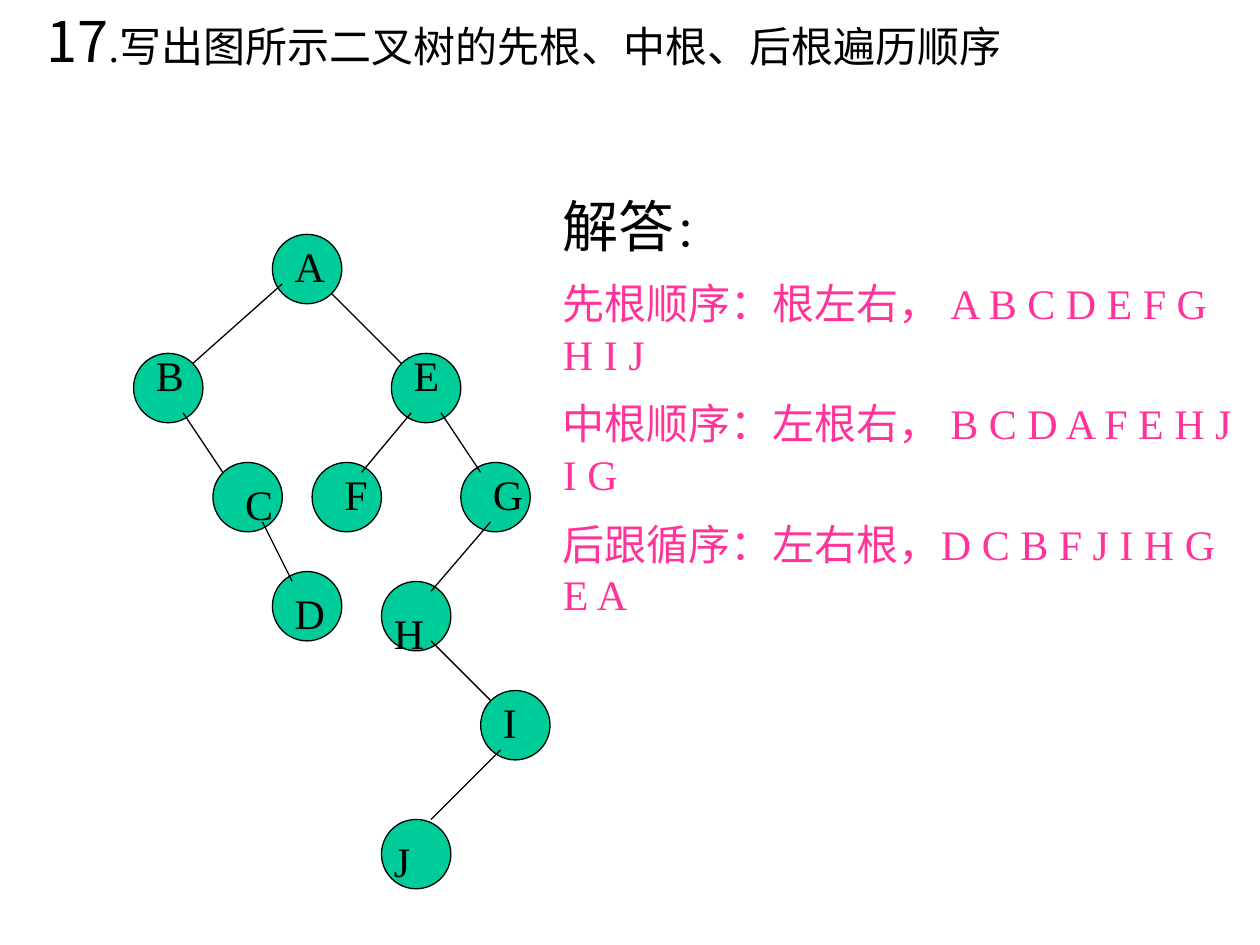
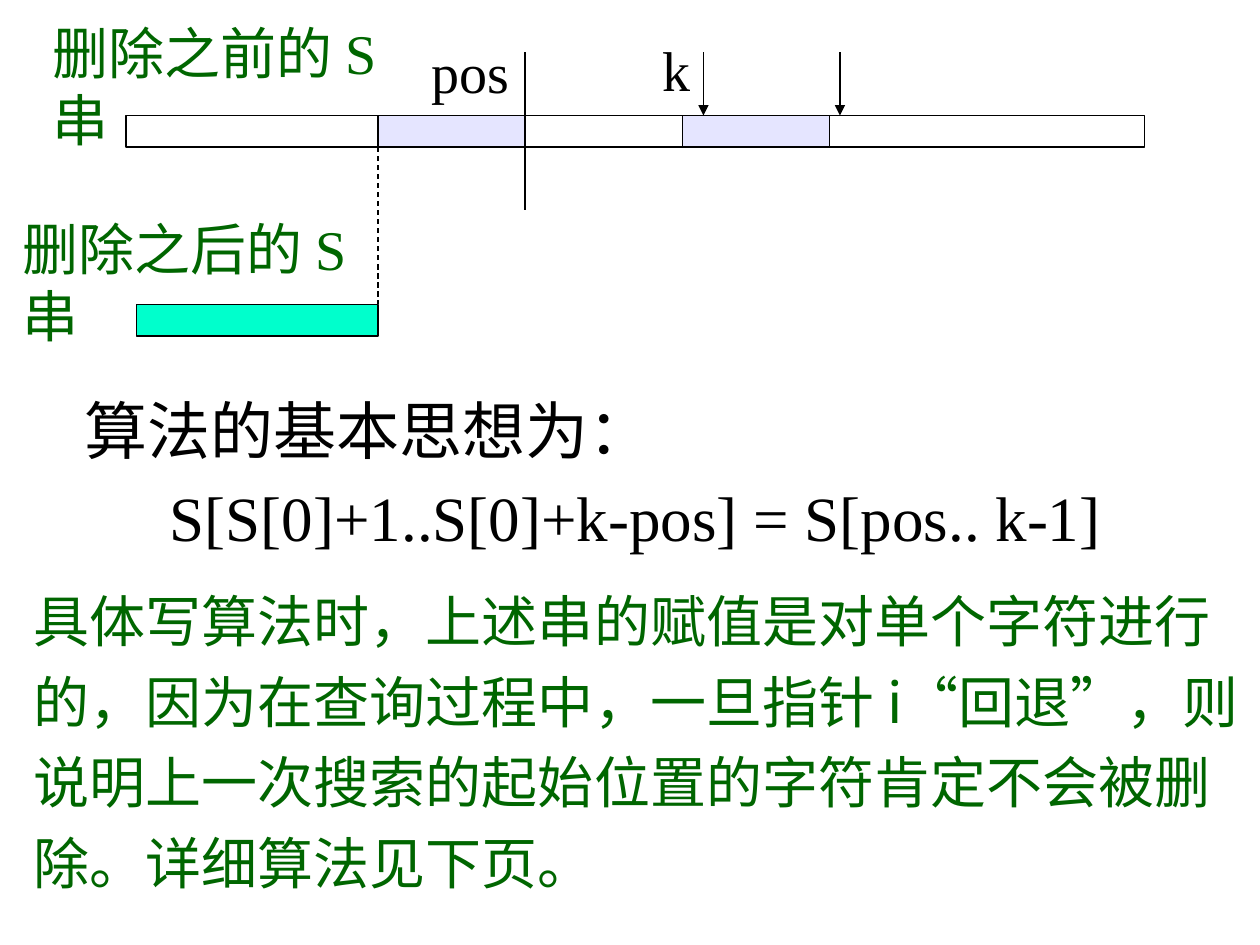
from dataclasses import dataclass

from lxml.etree import SubElement
from pptx import Presentation
from pptx.dml.color import RGBColor
from pptx.enum.dml import MSO_LINE
from pptx.enum.shapes import MSO_CONNECTOR as Connector, MSO_SHAPE as Shape
from pptx.enum.text import MSO_ANCHOR as Anchor, MSO_AUTO_SIZE as AutoSize, PP_ALIGN as Align
from pptx.oxml.ns import qn
from pptx.util import Inches, Pt

WIDTH, HEIGHT = Inches(10), Inches(7.5)
LATIN, CJK = "Times New Roman", "Noto Sans CJK SC"
COLORS = {
    "ink": "000000",
    "node": "00CC99",
    "answer": "FF3399",
    "deleted": "CCCCFF",
    "kept": "00FFCC",
    "note": "006600",
}


@dataclass
class Grid:
    left: float
    top: float
    cell: float

    def at(self, col, row):
        return Inches(self.left + col * self.cell), Inches(self.top + row * self.cell)

    def span(self, cols, rows):
        return Inches(cols * self.cell), Inches(rows * self.cell)

    def box(self, col, row, cols, rows):
        return *self.at(col, row), *self.span(cols, rows)


TREE = Grid(1.06, 1.86, 0.0787)
BARS = Grid(0, 0, 1 / 12)

NODES = {
    "A": (14, 0), "B": (0, 12), "E": (26, 12), "F": (18, 23), "G": (33, 23),
    "H": (25, 35), "I": (35, 46), "J": (25, 59), "C": (8, 23), "D": (14, 34),
}
LETTERS = {
    "A": (1, 0, 6), "B": (1, -1, 5), "C": (2, 1, 4), "D": (1, 1, 6), "E": (1, -1, 6),
    "F": (2, 0, 5), "G": (2, 0, 4), "H": (0, 2, 6), "I": (1, 0, 6), "J": (0, 1, 7),
}
EDGES = [
    ("A", (1, 5), "B", (6, 1)),
    ("A", (6, 6), "E", (1, 1)),
    ("B", (5, 6), "C", (1, 1)),
    ("C", (5, 6), "D", (2, 1)),
    ("E", (2, 6), "F", (5, 1)),
    ("E", (5, 6), "G", (2, 1)),
    ("G", (3, 6), "H", (5, 1)),
    ("H", (5, 6), "I", (1, 1)),
    ("I", (2, 6), "J", (5, 0)),
]


def rgb(name):
    return RGBColor.from_string(COLORS[name])


def percent(left, top, width, height):
    return (int(WIDTH * left / 100), int(HEIGHT * top / 100),
            int(WIDTH * width / 100), int(HEIGHT * height / 100))


def add_run(paragraph, words, size, color, font):
    run = paragraph.add_run()
    run.text = words
    run.font.size = Pt(size)
    run.font.color.rgb = rgb(color)
    run.font.name = font
    SubElement(run.font._element, qn("a:ea"), typeface=CJK)


def add_text(slide, box, *paragraphs, size=24, color="ink", font=LATIN, wrap=True,
             before=0, spacing=None, hanging=0, right_inset=0.1):
    frame = slide.shapes.add_textbox(*box).text_frame
    frame.word_wrap = wrap
    frame.auto_size = AutoSize.SHAPE_TO_FIT_TEXT
    frame.vertical_anchor = Anchor.TOP
    frame.margin_right = Inches(right_inset)
    for index, runs in enumerate(paragraphs):
        paragraph = frame.add_paragraph() if index else frame.paragraphs[0]
        paragraph.alignment = Align.LEFT
        if index:
            paragraph.space_before = Pt(before)
        if spacing:
            paragraph.line_spacing = spacing
        if hanging:
            indent = paragraph._p.get_or_add_pPr()
            indent.set("marL", str(Inches(hanging)))
            indent.set("indent", str(-Inches(hanging)))
        for run in [(runs, {})] if isinstance(runs, str) else runs:
            words, changes = run
            add_run(paragraph, words, **{"size": size, "color": color, "font": font, **changes})


def add_figure(slide, kind, box, fill=None, opacity=100):
    figure = slide.shapes.add_shape(kind, *box)
    figure.shadow.inherit = False
    figure.line.color.rgb = rgb("ink")
    figure.line.width = Pt(0.75)
    if not fill:
        figure.fill.background()
        return
    figure.fill.solid()
    figure.fill.fore_color.rgb = rgb(fill)
    if opacity < 100:
        color = figure._element.spPr.find(qn("a:solidFill"))[0]
        SubElement(color, qn("a:alpha"), val=str(opacity * 1000))


def add_line(slide, start, end, arrow=False, dashed=False):
    link = slide.shapes.add_connector(Connector.STRAIGHT, *start, *end)
    link.line.color.rgb = rgb("ink")
    link.line.width = Pt(0.75)
    if dashed:
        link.line.dash_style = MSO_LINE.DASH
    if arrow:
        SubElement(link.line._get_or_add_ln(), qn("a:tailEnd"), type="triangle")
    SubElement(link._element.spPr, qn("a:effectLst"))


def tree_point(node, offset):
    return TREE.at(*(base + shift for base, shift in zip(NODES[node], offset)))


def build_traversal(slide):
    add_text(slide, percent(2.7, 0, 95.3, 8.4),
             [("17", {"size": 32, "font": CJK}),
              (".写出图所示二叉树的先根、中根、后根遍历顺序", {})], hanging=0.38)
    for place in NODES.values():
        add_figure(slide, Shape.OVAL, TREE.box(*place, 7, 7), "node")
    for parent, leave, child, arrive in EDGES:
        add_line(slide, tree_point(parent, leave), tree_point(child, arrive))
    for letter, (right, down, cols) in LETTERS.items():
        add_text(slide, (*tree_point(letter, (right, down)), *TREE.span(cols, 5)), letter)
    add_text(slide, percent(43.7, 19.6, 56.3, 32.5),
             [("解答", {"size": 32, "color": "ink"}), ("：", {"color": "ink"})],
             "先根顺序：根左右， A B C D E F G H I J",
             "中根顺序：左根右， B C D A F E H J I G",
             "后跟循序：左右根，D C B F J I H G E A",
             color="answer", before=11)


def build_deletion(slide):
    add_figure(slide, Shape.RECTANGLE, BARS.box(12, 11, 97, 3))
    for col in (65, 36):
        add_figure(slide, Shape.RECTANGLE, BARS.box(col, 11, 14, 3), "deleted", opacity=50)
    add_figure(slide, Shape.RECTANGLE, BARS.box(13, 29, 23, 3), "kept")
    add_line(slide, BARS.at(50, 5), BARS.at(50, 20))
    for col in (67, 80):
        add_line(slide, BARS.at(col, 5), BARS.at(col, 11), arrow=True)
    add_line(slide, BARS.at(36, 14), BARS.at(36, 29), dashed=True)

    for words, size, box in (
        ("pos", 32, (33.3, 3.33, 8.2, 8.4)),
        ("k", 32, (51.6, 3.07, 4.2, 8.4)),
        ("算法的基本思想为：", 36, (5.7, 40.8, 47, 9.33)),
        ("S[S[0]+1..S[0]+k-pos] = S[pos.. k-1]", 36, (12.5, 50, 75.9, 9.33)),
    ):
        add_text(slide, percent(*box), words, size=size, wrap=False)
    for moment, left, top in (("前", 3.2, 1.33), ("后", 0.8, 22)):
        add_text(slide, percent(left, top, 34.5, 8.4),
                 [(f"删除之{moment}的 ", {}), ("S ", {"font": LATIN}), ("串", {})],
                 size=32, color="note", font=CJK, right_inset=0.4)
    add_text(slide, percent(1.7, 60, 98.3, 35.47),
             "具体写算法时，上述串的赋值是对单个字符进行的，因为在查询过程中，"
             "一旦指针 i“回退”，则说明上一次搜索的起始位置的字符肯定不会被删除。"
             "详细算法见下页。",
             size=32, color="note", font=CJK, spacing=1.2)


def main():
    deck = Presentation()
    deck.slide_width, deck.slide_height = WIDTH, HEIGHT
    for build in (build_traversal, build_deletion):
        build(deck.slides.add_slide(deck.slide_layouts[6]))
    deck.save("out.pptx")


if __name__ == "__main__":
    main()
